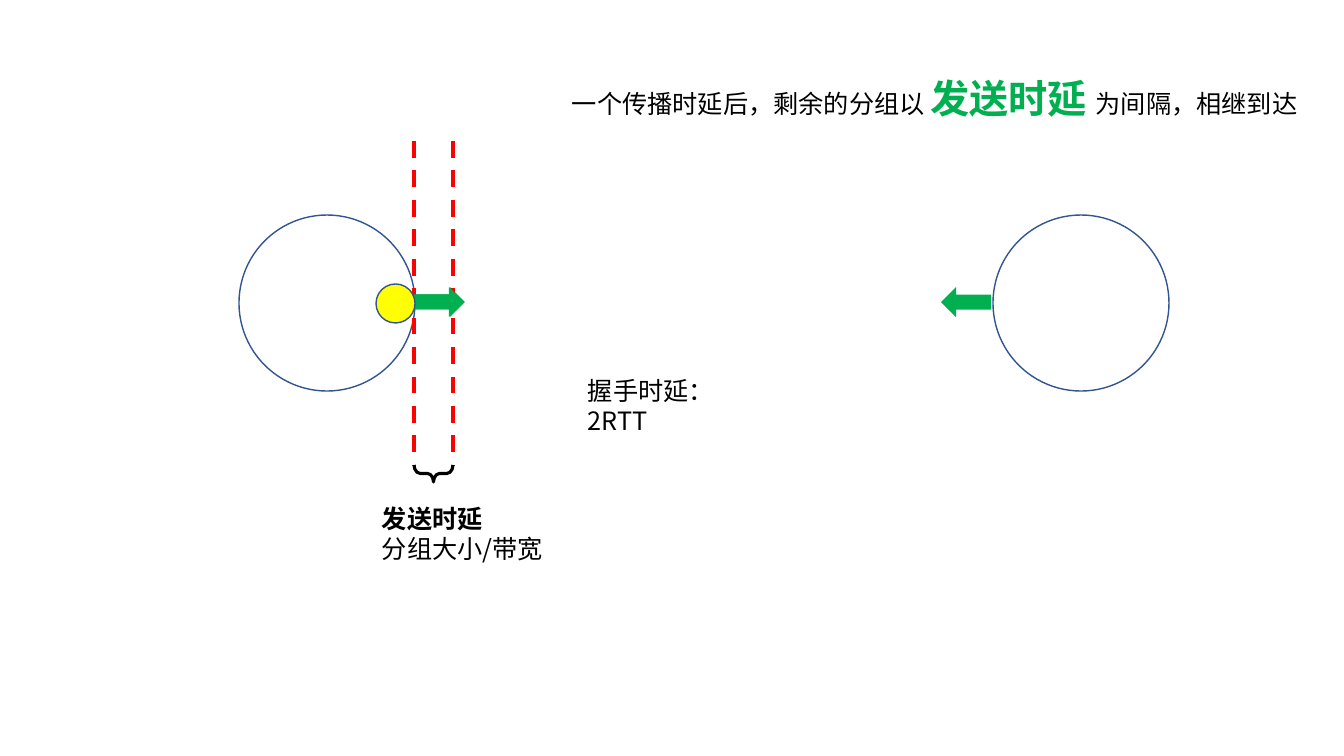
from lxml import etree
from pptx import Presentation
from pptx.dml.color import RGBColor
from pptx.enum.dml import MSO_LINE
from pptx.enum.shapes import MSO_CONNECTOR, MSO_SHAPE
from pptx.enum.text import MSO_AUTO_SIZE
from pptx.oxml.ns import qn
from pptx.util import Pt

PX = 914400 / 100.8
FONT = "Noto Sans CJK SC"
BLACK = RGBColor(0x00, 0x00, 0x00)
BLUE = RGBColor(0x32, 0x54, 0x91)
GREEN = RGBColor(0x00, 0xB0, 0x50)
RED = RGBColor(0xFF, 0x00, 0x00)
YELLOW = RGBColor(0xFF, 0xFF, 0x00)

prs = Presentation()
prs.slide_width, prs.slide_height = round(1344 * PX), round(756 * PX)
shapes = prs.slides.add_slide(prs.slide_layouts[6]).shapes


def add_shape(kind, box, fill=None, line=None, weight=1, rotation=0):
    sp = shapes.add_shape(kind, *(round(v * PX) for v in box))
    sp.shadow.inherit = False
    sp.rotation = rotation
    for part, color in ((sp.fill, fill), (sp.line.fill, line)):
        if color is None:
            part.background()
        else:
            part.solid()
            part.fore_color.rgb = color
    if line is not None:
        sp.line.width = Pt(weight)
    return sp


def add_text(box, paragraphs):
    """Each paragraph is a list of (text, font overrides) runs."""
    tf = shapes.add_textbox(*(round(v * PX) for v in box)).text_frame
    tf.word_wrap = True
    tf.auto_size = MSO_AUTO_SIZE.SHAPE_TO_FIT_TEXT
    for i, runs in enumerate(paragraphs):
        p = tf.paragraphs[0] if i == 0 else tf.add_paragraph()
        for text, overrides in runs:
            r = p.add_run()
            r.text = text
            style = {"size": Pt(18), "bold": False, "name": FONT} | overrides
            color = style.pop("color", BLACK)
            for key, value in style.items():
                setattr(r.font, key, value)
            r.font.color.rgb = color
            etree.SubElement(r.font._element, qn("a:ea"), typeface=FONT)


# Receiver and sender
for x in (993, 239):
    add_shape(MSO_SHAPE.OVAL, (x, 215, 176, 176), line=BLUE)
add_shape(MSO_SHAPE.RIGHT_ARROW, (415, 287, 50, 30), fill=GREEN)
add_text((578, 370, 203, 40), [[("握手时延：2RTT", {})]])

# Transmission delay span
for x in (453, 414):
    line = shapes.add_connector(
        MSO_CONNECTOR.STRAIGHT, *(round(v * PX) for v in (x, 141, x, 465)))
    line.line.color.rgb = RED
    line.line.width = Pt(3)
    line.line.dash_style = MSO_LINE.DASH
    etree.SubElement(line._element.spPr, qn("a:effectLst"))
brace = add_shape(MSO_SHAPE.RIGHT_BRACE, (425, 454, 17, 39),
                  line=BLACK, weight=2.25, rotation=90)
brace.adjustments[0] = 0.36
brace.adjustments[1] = 0.5
add_text((372, 498, 182, 72),
         [[("发送时延", {"bold": True})], [("分组大小/带宽", {})]])

# Packets on the way
for x, rotation in ((414, 0), (941, 180)):
    add_shape(MSO_SHAPE.RIGHT_ARROW, (x, 287, 50, 30), fill=GREEN, rotation=rotation)
add_shape(MSO_SHAPE.OVAL, (376, 284, 39, 39), fill=YELLOW, line=BLUE)
add_text((562, 69, 756, 57), [[
    ("一个传播时延后，剩余的分组以 ", {}),
    ("发送时延 ", {"size": Pt(28), "bold": True, "color": GREEN}),
    ("为间隔，相继到达", {}),
]])

prs.save("out.pptx")
